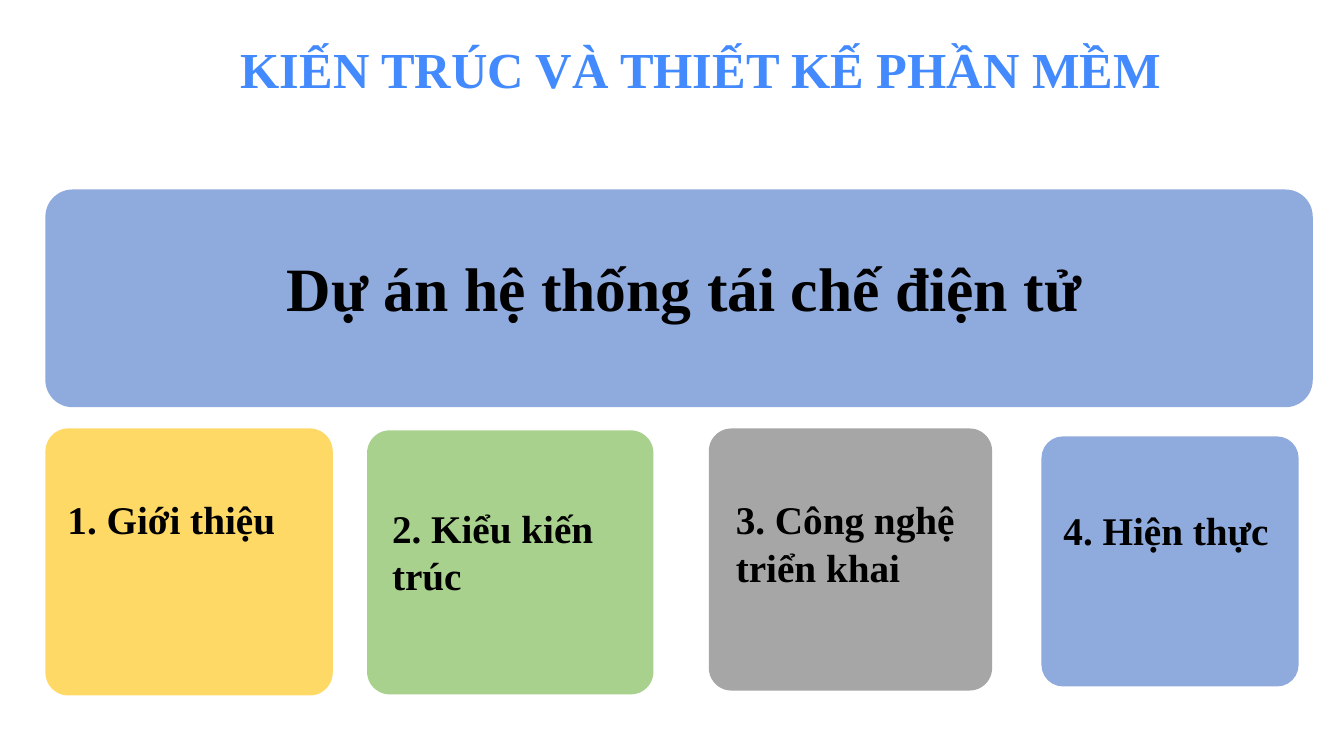
from pptx import Presentation
from pptx.dml.color import RGBColor
from pptx.enum.shapes import MSO_SHAPE
from pptx.enum.text import MSO_AUTO_SIZE, PP_ALIGN
from pptx.util import Inches, Pt

ROUNDED = MSO_SHAPE.ROUNDED_RECTANGLE
GROW = MSO_AUTO_SIZE.SHAPE_TO_FIT_TEXT
LEFT, RIGHT = PP_ALIGN.LEFT, PP_ALIGN.RIGHT

FONT = "Times New Roman"
BLACK = RGBColor(0x00, 0x00, 0x00)
TITLE_BLUE = RGBColor(0x43, 0x8A, 0xFE)
BLUE = RGBColor(0x8F, 0xAA, 0xDC)
YELLOW = RGBColor(0xFF, 0xD9, 0x66)
GREEN = RGBColor(0xA9, 0xD1, 0x8E)
GRAY = RGBColor(0xA6, 0xA6, 0xA6)

WIDTH, HEIGHT = Inches(13.33), Inches(7.5)

# Boxes are left, top, width, height in percent of the slide's size
TITLE_BOX = (17.18, 4.4, 78.8, 9.47)
BANNER_BOX = (3.38, 25.07, 94.3, 28.8)
BANNER_LABEL_BOX = (0, 32.4, 81.25, 11.2)

# Topic, colour, card box, label box
TOPICS = [
    ("1. Giới thiệu", YELLOW,
     (3.38, 56.67, 21.38, 35.33), (4.28, 64.93, 17.4, 7.6)),
    ("2. Kiểu kiến trúc", GREEN,
     (27.31, 56.93, 21.31, 34.93), (28.43, 66, 20.63, 13.87)),
    ("3. Công nghệ triển khai", GRAY,
     (52.74, 56.67, 21.08, 34.67), (54.01, 64.93, 18.45, 13.87)),
    ("4. Hiện thực", BLUE,
     (77.49, 57.73, 19.13, 33.07), (78.39, 66.27, 17.6, 7.6)),
]


def place(box):
    left, top, width, height = box
    return (int(WIDTH * left / 100), int(HEIGHT * top / 100),
            int(WIDTH * width / 100), int(HEIGHT * height / 100))


def add_panel(slide, box, color, rounding):
    panel = slide.shapes.add_shape(ROUNDED, *place(box))
    panel.adjustments[0] = rounding
    panel.shadow.inherit = False
    panel.fill.solid()
    panel.fill.fore_color.rgb = color
    panel.line.fill.background()


def add_label(slide, box, text, size, color=BLACK, align=LEFT):
    frame = slide.shapes.add_textbox(*place(box)).text_frame
    frame.word_wrap = True
    frame.auto_size = GROW
    frame.text = text
    paragraph = frame.paragraphs[0]
    paragraph.alignment = align
    font = paragraph.runs[0].font
    font.name = FONT
    font.size = Pt(size)
    font.bold = True
    font.color.rgb = color


def main():
    deck = Presentation()
    deck.slide_width, deck.slide_height = WIDTH, HEIGHT
    slide = deck.slides.add_slide(deck.slide_layouts[6])

    # Project banner
    add_panel(slide, BANNER_BOX, BLUE, 0.125)
    add_label(slide, BANNER_LABEL_BOX, "Dự án hệ thống tái chế điện tử", 44,
              align=RIGHT)

    # Topic cards
    for topic, color, card_box, label_box in TOPICS:
        add_panel(slide, card_box, color, 0.086)
        add_label(slide, label_box, topic, 28)

    # Title
    add_label(slide, TITLE_BOX, "KIẾN TRÚC VÀ THIẾT KẾ PHẦN MỀM", 36,
              TITLE_BLUE)

    deck.save("out.pptx")


if __name__ == "__main__":
    main()
